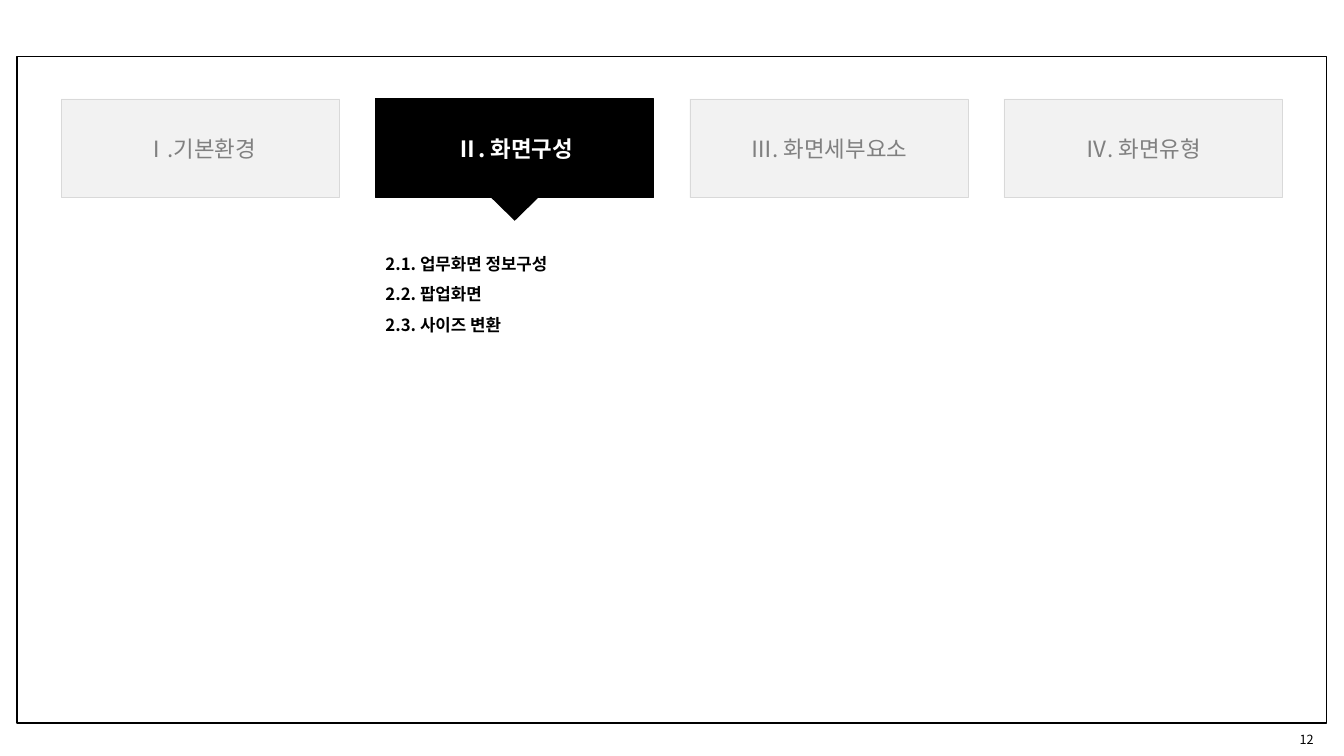
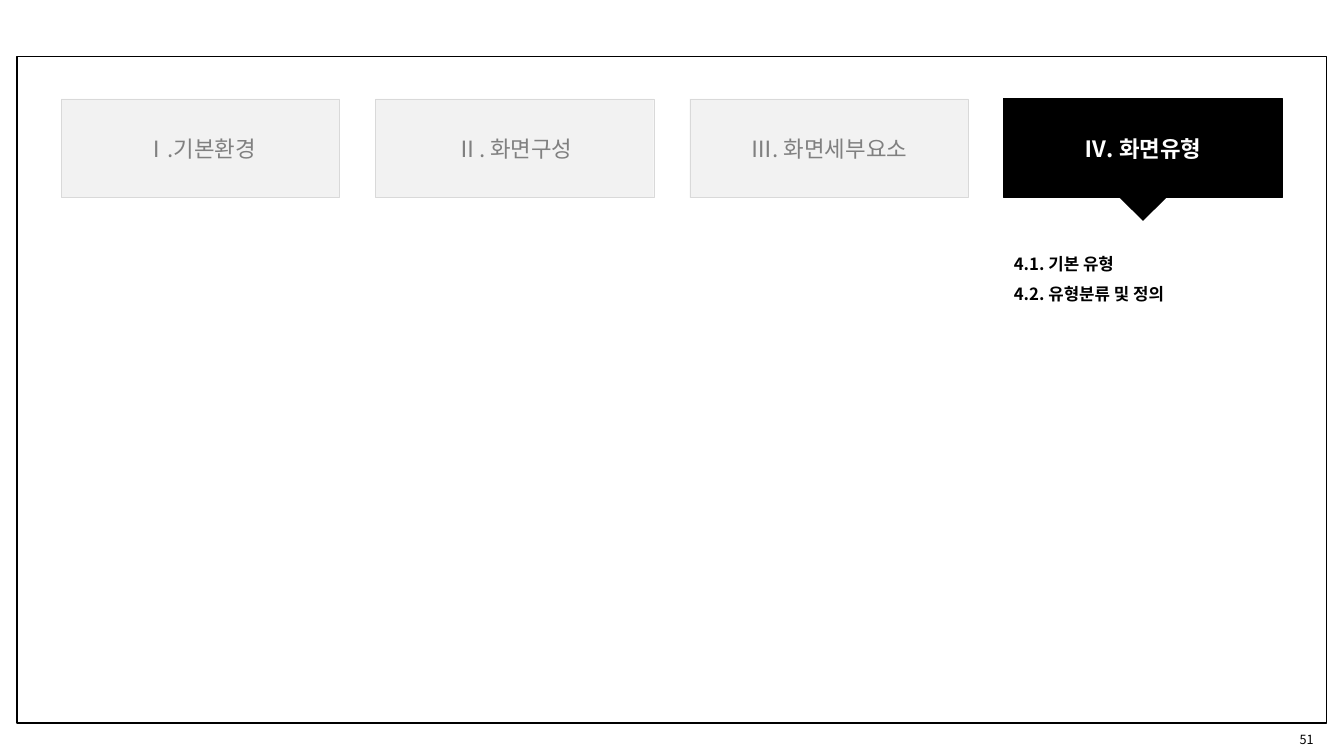
import pptx
import pptx.dml.color
import pptx.enum.shapes
import pptx.enum.text
import pptx.oxml.ns
import pptx.util
from lxml import etree

Pt = pptx.util.Pt
SHAPES = pptx.enum.shapes.MSO_SHAPE
ALIGN = pptx.enum.text.PP_ALIGN
MIDDLE = pptx.enum.text.MSO_ANCHOR.MIDDLE

FONT = "Noto Sans CJK KR"
BLACK, WHITE = "000000", "FFFFFF"
TAB_FILL, TAB_LINE, TAB_TEXT = "F2F2F2", "D9D9D9", "808080"

# Tab row geometry, in points
TAB_LEFT, TAB_TOP, TAB_PITCH = 43.9, 70.6, 224.4
TAB_WIDTH, TAB_HEIGHT = 198.7, 70.6
POINTER_WIDTH, POINTER_HEIGHT = 38.2, 18.7

CHAPTERS = ["Ⅰ.기본환경", "Ⅱ. 화면구성", "Ⅲ. 화면세부요소", "Ⅳ. 화면유형"]
# Page number, position of the active chapter, its sections
DIVIDERS = [
    ("12", 1, ["2.1. 업무화면 정보구성", "2.2. 팝업화면", "2.3. 사이즈 변환"]),
    ("51", 3, ["4.1. 기본 유형", "4.2. 유형분류 및 정의"]),
]


def paint(target, color):
    """Give a fill or a font a solid colour from a hex string."""
    if hasattr(target, "solid"):
        target.solid()
        target.fore_color.rgb = pptx.dml.color.RGBColor.from_string(color)
    else:
        target.color.rgb = pptx.dml.color.RGBColor.from_string(color)


def write(box, lines, size, color=BLACK, bold=False, align=ALIGN.LEFT, anchor=None, spacing=None):
    """Write one paragraph per line into a shape or text box."""
    frame = box.text_frame
    frame.word_wrap = True
    if anchor is not None:
        frame.vertical_anchor = anchor
    for number, line in enumerate(lines):
        para = frame.add_paragraph() if number else frame.paragraphs[0]
        para.alignment = align
        if spacing:
            para.line_spacing = spacing
        span = para.add_run()
        span.text = line
        span.font.size, span.font.bold, span.font.name = Pt(size), bold, FONT
        paint(span.font, color)
        # Korean glyphs take the East Asian typeface
        east_asian = etree.SubElement(span.font._element, pptx.oxml.ns.qn("a:ea"))
        east_asian.set("typeface", FONT)


deck = pptx.Presentation()
deck.slide_width, deck.slide_height = Pt(960), Pt(540)

for page_number, active, sections in DIVIDERS:
    page = deck.slides.add_slide(deck.slide_layouts[6])

    # Page frame
    border = page.shapes.add_shape(SHAPES.RECTANGLE, Pt(12.2), Pt(40.3), Pt(935.3), Pt(475.9))
    border.shadow.inherit = False
    border.fill.background()
    paint(border.line.fill, BLACK)
    border.line.width = Pt(1.3)

    # Page number
    footer = page.shapes.add_textbox(Pt(895.7), Pt(517), Pt(49.7), Pt(22.3))
    write(footer, [page_number], 9, align=ALIGN.RIGHT, anchor=MIDDLE)

    # Chapter tabs
    for position, chapter in enumerate(CHAPTERS):
        current = position == active
        tab = page.shapes.add_shape(
            SHAPES.RECTANGLE, Pt(TAB_LEFT + position * TAB_PITCH), Pt(TAB_TOP),
            Pt(TAB_WIDTH), Pt(TAB_HEIGHT))
        tab.shadow.inherit = False
        paint(tab.fill, BLACK if current else TAB_FILL)
        paint(tab.line.fill, BLACK if current else TAB_LINE)
        tab.line.width = Pt(0.75 if current else 0.25)
        write(tab, [chapter], 16, color=WHITE if current else TAB_TEXT, bold=current,
              align=ALIGN.CENTER, anchor=MIDDLE)

    # Pointer below the active tab
    active_left = TAB_LEFT + active * TAB_PITCH
    pointer = page.shapes.add_shape(
        SHAPES.ISOSCELES_TRIANGLE, Pt(active_left + (TAB_WIDTH - POINTER_WIDTH) / 2), Pt(139),
        Pt(POINTER_WIDTH), Pt(POINTER_HEIGHT))
    pointer.rotation = 180
    pointer.shadow.inherit = False
    paint(pointer.fill, BLACK)
    pointer.line.fill.background()

    # Section list of the active chapter
    listing = page.shapes.add_textbox(
        Pt(active_left), Pt(170.6), Pt(TAB_WIDTH), Pt(5 + 21.6 * len(sections)))
    write(listing, sections, 12, bold=True, spacing=1.5)
    listing.text_frame.auto_size = pptx.enum.text.MSO_AUTO_SIZE.SHAPE_TO_FIT_TEXT

deck.save("out.pptx")
